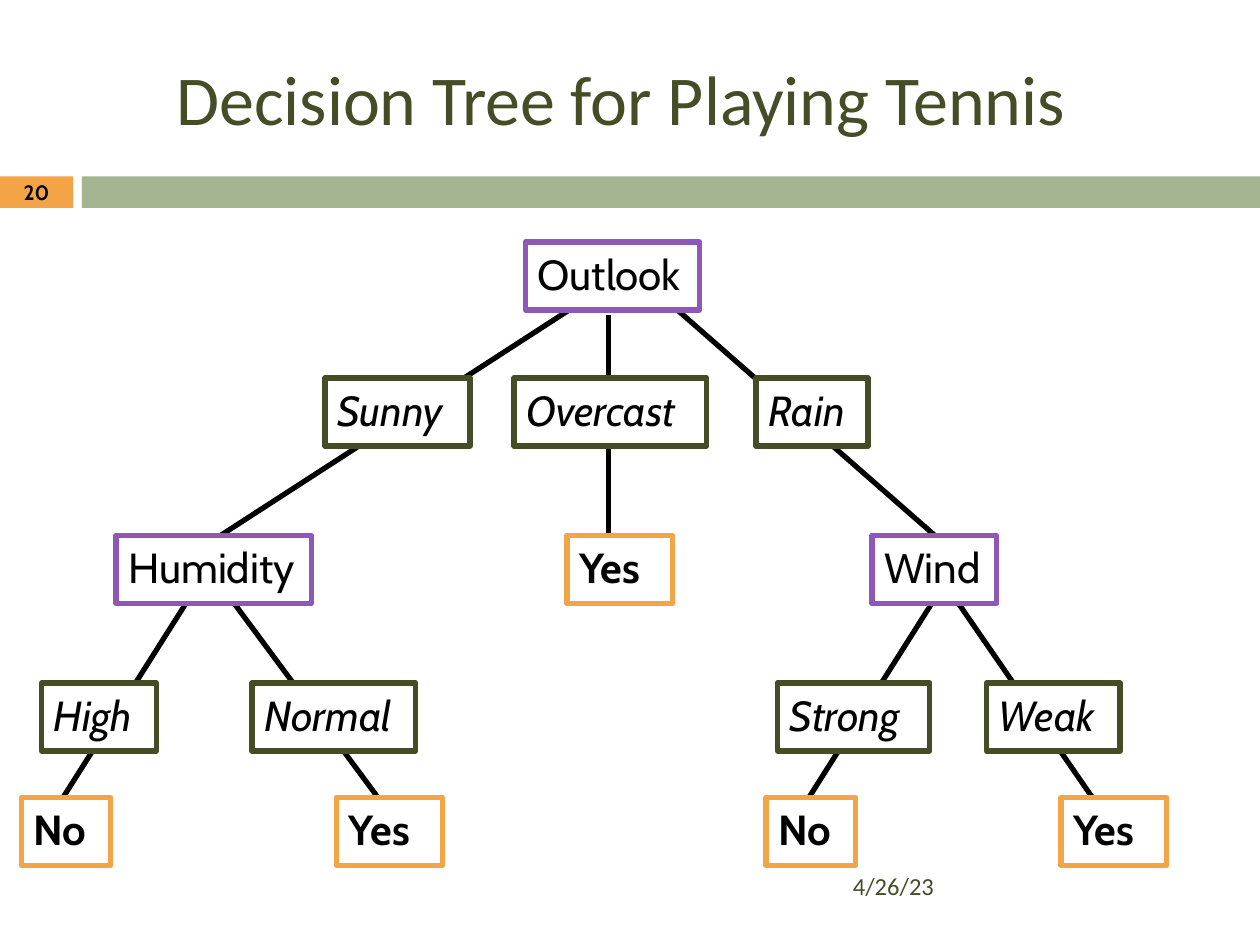
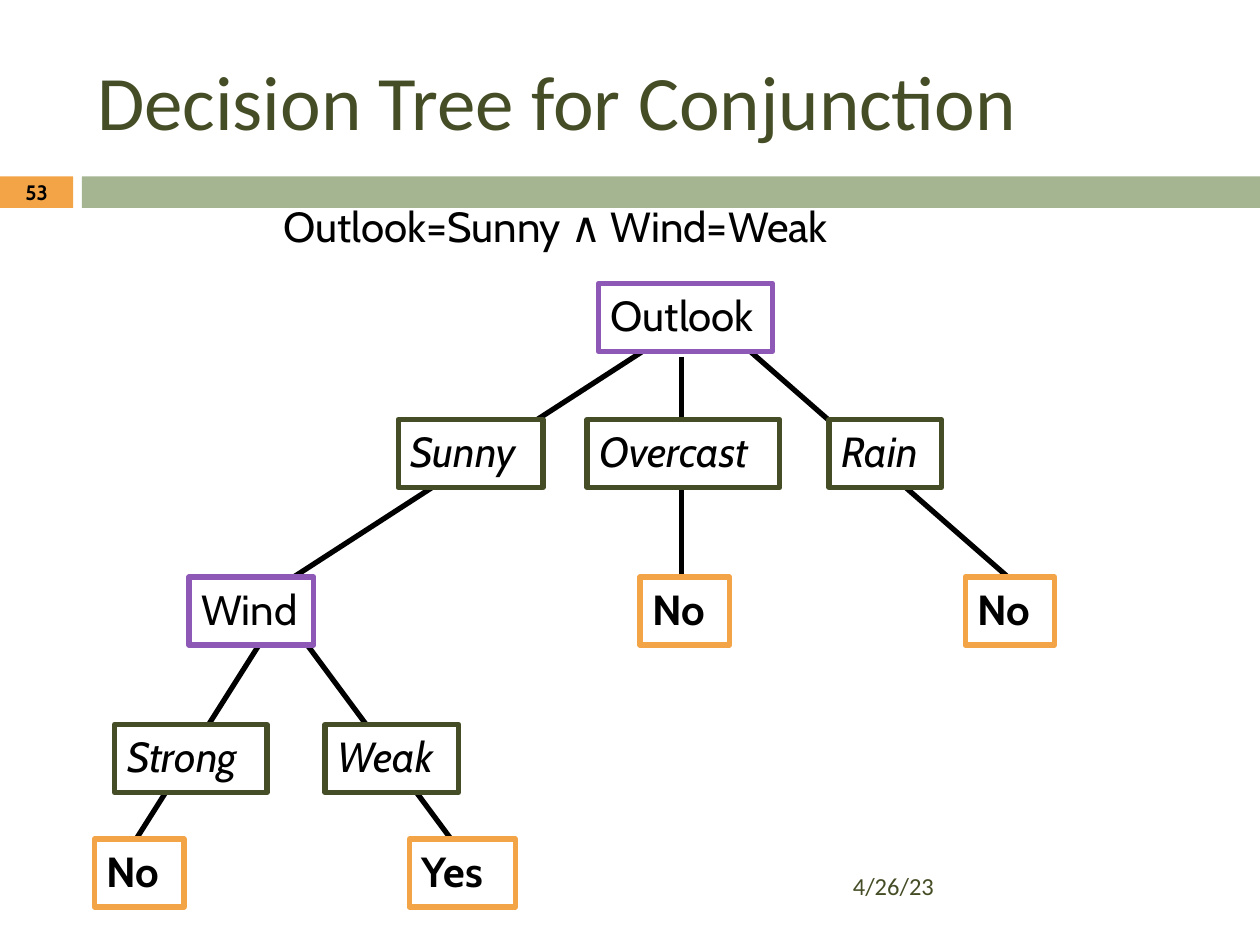
"""Build two slides that draw decision trees for the tennis example."""
from lxml.etree import SubElement
from pptx import Presentation
from pptx.dml.color import RGBColor as Rgb
from pptx.enum.shapes import MSO_CONNECTOR as Link, MSO_SHAPE as Form
from pptx.enum.text import MSO_ANCHOR as Anchor, MSO_AUTO_SIZE as Fit, PP_ALIGN as Align
from pptx.oxml.ns import qn
from pptx.util import Cm, Pt

BLACK = Rgb(0x00, 0x00, 0x00)
WHITE = Rgb(0xFF, 0xFF, 0xFF)
OLIVE = Rgb(0x44, 0x4D, 0x26)
SAGE = Rgb(0xA5, 0xB5, 0x92)
AMBER = Rgb(0xF3, 0xA4, 0x47)
PLUM = Rgb(0x8E, 0x58, 0xB6)

HEAD, BODY = "Calibri", "Cabin"
ROWS = (1.92, 3, 4.25, 5.42, 6.33)
TEST = {"edge": PLUM}
CASE = {"edge": OLIVE, "italic": True}
LEAF = {"edge": AMBER, "bold": True}
WORDS = {
    "Outlook": (1.38, TEST), "Humidity": (1.55, TEST), "Wind": (0.99, TEST),
    "Sunny": (1.15, CASE), "Overcast": (1.53, CASE), "Rain": (0.89, CASE),
    "High": (0.91, CASE), "Normal": (1.3, CASE),
    "Strong": (1.21, CASE), "Weak": (1.06, CASE),
    "Yes": (0.84, LEAF), "No": (0.71, LEAF),
}
STEM = [(4.58, 2.42, 1.75, 4.25), (5.33, 2.42, 7.42, 4.25), (4.83, 2.5, 4.83, 4.25)]
LEFT = [(1.5, 4.75, 0.5, 6.33), (1.83, 4.75, 3, 6.33)]
RIGHT = [(7.58, 4.75, 8.67, 6.33), (7.42, 4.75, 6.42, 6.33)]
TOP = [("Outlook", 4.17, 0), ("Sunny", 2.58, 1), ("Overcast", 4.08, 1), ("Rain", 6, 1)]


def inch(*sizes):
    """Turn inches into lengths."""
    return [Cm(size * 2.54) for size in sizes]


def write(frame, text, size=24, font=BODY, color=BLACK, bold=False, italic=False,
          align=Align.LEFT, anchor=Anchor.TOP):
    """Put formatted text into a frame."""
    frame.word_wrap = True
    frame.auto_size = Fit.NONE
    frame.vertical_anchor = anchor
    line = frame.paragraphs[0]
    line.alignment = align
    run = line.add_run()
    run.text = text
    face = run.font
    face.name, face.size, face.bold, face.italic = font, Pt(size), bold, italic
    face.color.rgb = color


def fork(test, low, high):
    """List the nodes of the lower left branch."""
    return [(test, 0.92, 2), (low, 0.33, 3), (high, 2, 3), ("No", 0.17, 4), ("Yes", 2.67, 4)]


class Deck:
    """Hold the style and the current slide."""

    def __init__(self):
        """Start an empty deck."""
        self.show = Presentation()
        self.show.slide_width, self.show.slide_height = inch(10, 7.5)
        self.slide = None

    def page(self, title, number, spot, size):
        """Add a slide with its bands, title, number and date."""
        self.slide = self.show.slides.add_slide(self.show.slide_layouts[5])
        self.rect((0, 1.4, 0.58, 0.25), AMBER)
        self.rect((0.65, 1.4, 9.35, 0.25), SAGE)
        head = self.slide.shapes.title
        head.left, head.top, head.width, head.height = inch(*spot)
        write(head.text_frame, title, size=size, font=HEAD, color=OLIVE, anchor=Anchor.MIDDLE)
        self.label(number, (0, 1.39, 0.58, 0.27), size=11.9, bold=True,
                   align=Align.CENTER, anchor=Anchor.MIDDLE)
        self.label("4/26/23", (6.67, 6.83, 2.92, 0.4), size=14, font=HEAD,
                   color=OLIVE, anchor=Anchor.MIDDLE)

    def rect(self, spot, fill, edge=None):
        """Draw a rectangle, framed if an edge colour is given."""
        shape = self.slide.shapes.add_shape(Form.RECTANGLE, *inch(*spot))
        shape.shadow.inherit = False
        shape.fill.solid()
        shape.fill.fore_color.rgb = fill
        if edge is None:
            shape.line.fill.background()
        else:
            shape.line.color.rgb = edge
            shape.line.width = Pt(3)
        return shape

    def label(self, text, spot, **style):
        """Place free text."""
        box = self.slide.shapes.add_textbox(*inch(*spot))
        write(box.text_frame, text, **style)

    def node(self, word, left, top):
        """Draw one framed word of the tree."""
        width, look = WORDS[word]
        style = dict(look)
        shape = self.rect((left, top, width, 0.54), WHITE, style.pop("edge"))
        write(shape.text_frame, word, **style)

    def branch(self, *ends):
        """Draw one line of the tree."""
        line = self.slide.shapes.add_connector(Link.STRAIGHT, *inch(*ends))
        line.line.color.rgb = BLACK
        line.line.width = Pt(3)
        SubElement(line._element.spPr, qn("a:effectLst"))

    def tree(self, lines, nodes, right=0, down=0):
        """Draw lines, then nodes, all moved by the same step."""
        for x1, y1, x2, y2 in lines:
            self.branch(x1 + right, y1 + down, x2 + right, y2 + down)
        for word, left, row in nodes:
            self.node(word, left + right, ROWS[row] + down)


def main():
    """Build and save the deck."""
    deck = Deck()
    deck.page("Decision Tree for Playing Tennis", "20", (1.3, 0.36, 8.35, 0.82), 40)
    deck.tree(STEM + LEFT + RIGHT, TOP + fork("Humidity", "High", "Normal") + [
        ("Yes", 4.5, 2), ("Wind", 6.92, 2), ("Strong", 6.17, 3), ("Weak", 7.83, 3),
        ("No", 6.08, 4), ("Yes", 8.42, 4)])

    deck.page("Decision Tree for Conjunction", "53", (0.67, 0.25, 8.92, 1.08), 44)
    deck.label("Outlook=Sunny ∧ Wind=Weak", (2.15, 1.54, 4.71, 0.5))
    deck.tree(STEM + LEFT, TOP + fork("Wind", "Strong", "Weak") + [
        ("No", 4.5, 2), ("No", 7.08, 2)], right=0.58, down=0.33)
    deck.show.save("out.pptx")


if __name__ == "__main__":
    main()
